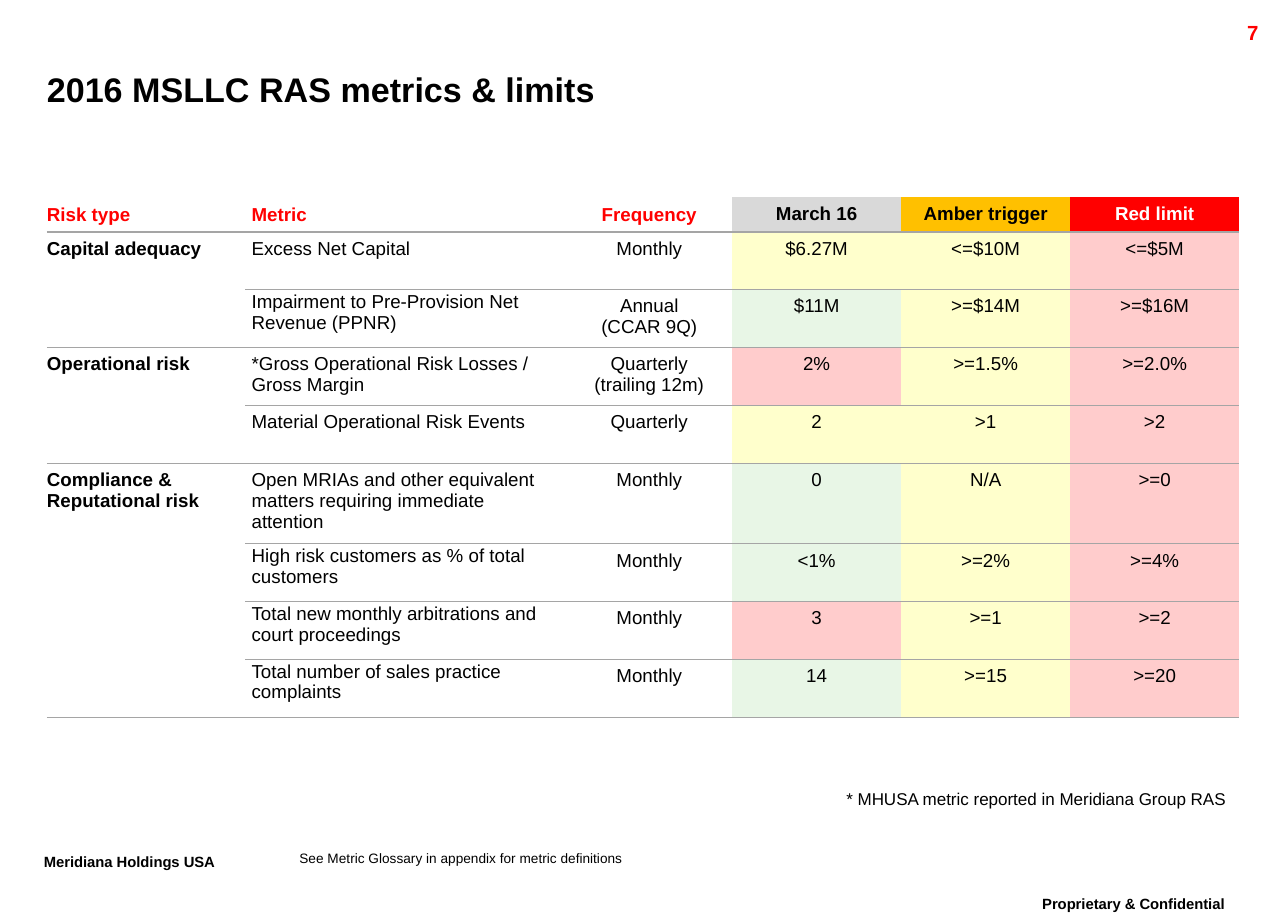
from dataclasses import dataclass

import lxml.etree
import pptx
import pptx.dml.color
import pptx.enum.text
import pptx.oxml.ns
import pptx.util

Cm = pptx.util.Cm
Pt = pptx.util.Pt
Align = pptx.enum.text.PP_ALIGN
Anchor = pptx.enum.text.MSO_ANCHOR
qn = pptx.oxml.ns.qn

BLACK, WHITE, RED, RULE = "000000", "FFFFFF", "FF0000", "A5A5A5"
GREEN_TINT, AMBER_TINT, RED_TINT = "E8F6E6", "FFFFCC", "FFCCCC"
NO_STYLE = "{2D5ABB26-0587-4C30-8999-92F81FD0307C}"
PAD = (0.13, 0.13, 0.13, 0.13)
FIRST_PAD = (0, 0.13, 0.13, 0.13)
TIGHT_PAD = (0.13, 0.03, 0.03, 0)
BOX_PAD = (0.25, 0.13, 0.25, 0.13)
COLUMN_WIDTHS = (4.11, 6.65, 3.43, 3.5, 3.5, 3.5)


@dataclass
class Style:
    size: float
    color: str = BLACK
    bold: bool = False
    align: Align = Align.LEFT
    spacing: float = 1.0
    baseline: int = 0


@dataclass
class Label:
    text: str
    box: tuple[float, float, float, float]
    style: Style
    pad: tuple[float, float, float, float] = BOX_PAD
    wrap: bool = True


@dataclass
class Heading:
    text: str
    color: str
    align: Align = Align.CENTER
    fill: str | None = None


@dataclass
class Metric:
    name: str
    frequency: str
    current: str
    status: str
    amber: str
    red: str
    tight: bool = False
    height: float = 1.2


@dataclass
class Risk:
    name: str
    metrics: list[Metric]


LABELS = [
    Label("Proprietary & Confidential", (20.7, 18.42, 5.54, 0.89),
          Style(15, bold=True, align=Align.CENTER, spacing=0.86, baseline=30000)),
    Label("Meridiana Holdings USA", (0.66, 17.55, 4.85, 0.89),
          Style(15, bold=True, spacing=0.86, baseline=30000), wrap=False),
    Label("7", (23.77, 0.28, 2.54, 0.61), Style(12, RED, True, Align.RIGHT)),
    Label("See Metric Glossary in appendix for metric definitions",
          (6.2, 17.6, 13.89, 0.33), Style(8), (0, 0, 0, 0)),
    Label("* MHUSA metric reported in Meridiana Group RAS", (17.22, 16.26, 8.46, 0.64),
          Style(10, align=Align.CENTER, spacing=0.86), wrap=False),
]

HEADINGS = [
    Heading("Risk type", RED, Align.LEFT),
    Heading("Metric", RED, Align.LEFT),
    Heading("Frequency", RED),
    Heading("March 16", BLACK, fill="D9D9D9"),
    Heading("Amber trigger", BLACK, fill="FFC000"),
    Heading("Red limit", WHITE, fill=RED),
]

RISKS = [
    Risk("Capital adequacy", [
        Metric("Excess Net Capital", "Monthly", "$6.27M", AMBER_TINT, "<=$10M", "<=$5M"),
        Metric("Impairment to Pre-Provision Net Revenue (PPNR)", "Annual\n(CCAR 9Q)",
               "$11M", GREEN_TINT, ">=$14M", ">=$16M", True),
    ]),
    Risk("Operational risk", [
        Metric("*Gross Operational Risk Losses / Gross Margin", "Quarterly\n(trailing 12m)",
               "2%", RED_TINT, ">=1.5%", ">=2.0%"),
        Metric("Material Operational Risk Events", "Quarterly", "2", AMBER_TINT, ">1", ">2"),
    ]),
    Risk("Compliance & Reputational risk", [
        Metric("Open MRIAs and other equivalent matters requiring immediate attention",
               "Monthly", "0", GREEN_TINT, "N/A", ">=0", height=1.66),
        Metric("High risk customers as % of total customers", "Monthly",
               "<1%", GREEN_TINT, ">=2%", ">=4%", True),
        Metric("Total new monthly arbitrations and court proceedings", "Monthly",
               "3", RED_TINT, ">=1", ">=2", True),
        Metric("Total number of sales practice complaints", "Monthly",
               "14", GREEN_TINT, ">=15", ">=20", True),
    ]),
]


def rgb(color: str) -> pptx.dml.color.RGBColor:
    return pptx.dml.color.RGBColor.from_string(color)


def write(tf, text: str, style: Style) -> None:
    for i, line in enumerate(text.split("\n")):
        p = tf.add_paragraph() if i else tf.paragraphs[0]
        p.alignment = style.align
        p.line_spacing = style.spacing
        p.space_before = p.space_after = Pt(0)
        r = p.add_run()
        r.text = line
        r.font.name = "Arial"
        r.font.size = Pt(style.size)
        r.font.bold = style.bold
        r.font.color.rgb = rgb(style.color)
        if style.baseline:
            r._r.get_or_add_rPr().set("baseline", str(style.baseline))


def set_margins(target, pad: tuple[float, float, float, float]) -> None:
    (target.margin_left, target.margin_top,
     target.margin_right, target.margin_bottom) = map(Cm, pad)


def add_label(slide, label: Label) -> None:
    tf = slide.shapes.add_textbox(*map(Cm, label.box)).text_frame
    tf.word_wrap = label.wrap
    set_margins(tf, label.pad)
    write(tf, label.text, label.style)


def underline(cell, width: float) -> None:
    ln = lxml.etree.Element(qn("a:lnB"), w=str(Pt(width)))
    fill = lxml.etree.SubElement(ln, qn("a:solidFill"))
    lxml.etree.SubElement(fill, qn("a:srgbClr"), val=RULE)
    cell._tc.get_or_add_tcPr().insert(0, ln)


def fill_cell(cell, text: str, style: Style, fill: str | None = None,
              pad: tuple[float, float, float, float] = PAD,
              anchor: Anchor = Anchor.TOP) -> None:
    set_margins(cell, pad)
    cell.vertical_anchor = anchor
    write(cell.text_frame, text, style)
    if fill:
        cell.fill.solid()
        cell.fill.fore_color.rgb = rgb(fill)
    else:
        cell.fill.background()


def add_metrics_table(slide) -> None:
    count = 1 + sum(len(risk.metrics) for risk in RISKS)
    frame = slide.shapes.add_table(count, len(HEADINGS), Cm(0.97), Cm(4.08),
                                   Cm(sum(COLUMN_WIDTHS)), Cm(10.77))
    table = frame.table
    table.first_row = table.horz_banding = False
    table._tbl.tblPr.find(qn("a:tableStyleId")).text = NO_STYLE
    for column, width in zip(table.columns, COLUMN_WIDTHS):
        column.width = Cm(width)
    table.rows[0].height = Cm(0.72)
    for col, head in enumerate(HEADINGS):
        cell = table.cell(0, col)
        fill_cell(cell, head.text, Style(11, head.color, True, head.align), head.fill,
                  PAD if col else FIRST_PAD, Anchor.TOP if head.fill else Anchor.BOTTOM)
        underline(cell, 1.5)

    left, center = Style(11), Style(11, align=Align.CENTER)
    row = 1
    for risk in RISKS:
        start, last = row, row + len(risk.metrics) - 1
        table.cell(start, 0).merge(table.cell(last, 0))
        fill_cell(table.cell(start, 0), risk.name, Style(11, bold=True), pad=FIRST_PAD)
        for r in (start, last):
            underline(table.cell(r, 0), 0.75)
        for m in risk.metrics:
            table.rows[row].height = Cm(m.height)
            fill_cell(table.cell(row, 1), m.name, left, pad=TIGHT_PAD if m.tight else PAD)
            values = ((m.frequency, None), (m.current, m.status),
                      (m.amber, AMBER_TINT), (m.red, RED_TINT))
            for col, (text, fill) in enumerate(values, 2):
                fill_cell(table.cell(row, col), text, center, fill)
            for col in range(1, len(HEADINGS)):
                underline(table.cell(row, col), 0.75)
            row += 1


def main() -> None:
    prs = pptx.Presentation()
    prs.slide_width, prs.slide_height = Cm(26.67), Cm(19.05)
    slide = prs.slides.add_slide(prs.slide_layouts[5])
    title = slide.shapes.title
    title.left, title.top, title.width, title.height = map(Cm, (0.97, 1.24, 24.08, 1.22))
    tf = title.text_frame
    tf.word_wrap = True
    tf.vertical_anchor = Anchor.MIDDLE
    set_margins(tf, (0, 0, 0, 0))
    write(tf, "2016 MSLLC RAS metrics & limits", Style(20, bold=True))
    add_metrics_table(slide)
    for label in LABELS:
        add_label(slide, label)
    prs.save("out.pptx")


if __name__ == "__main__":
    main()
